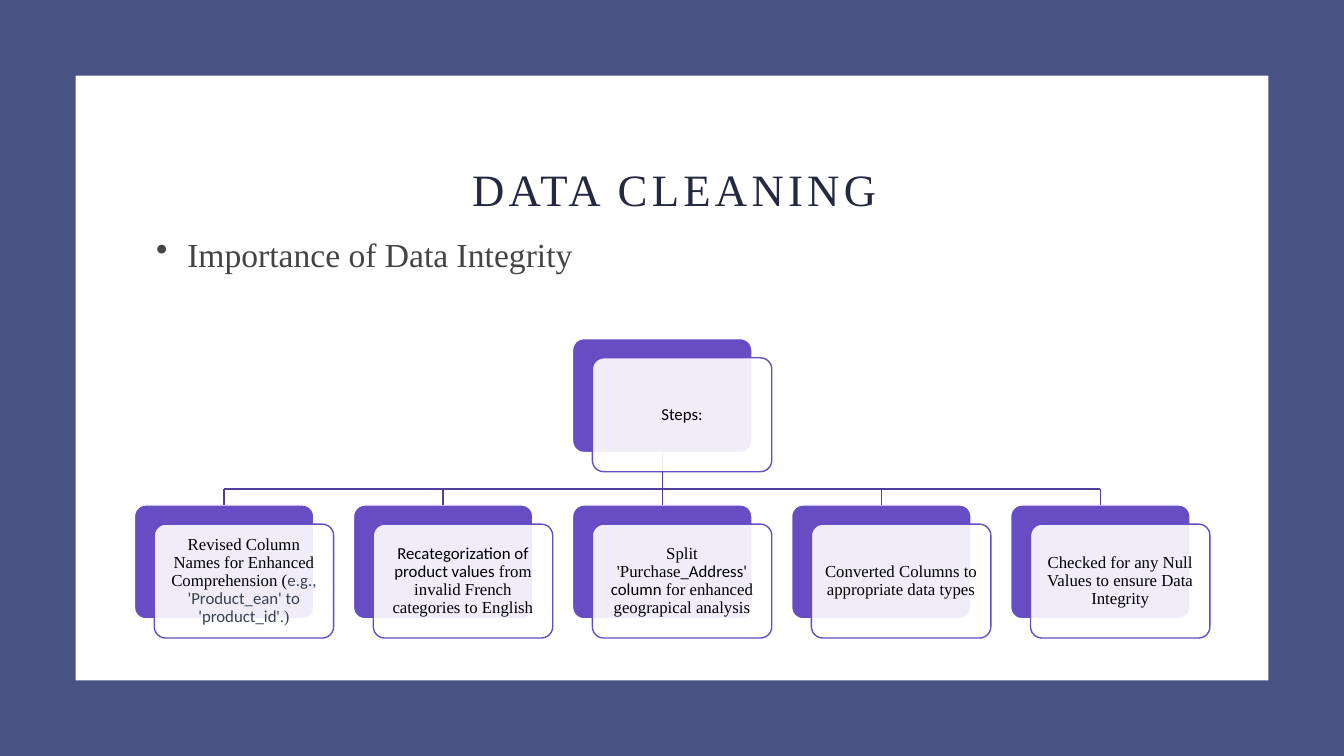
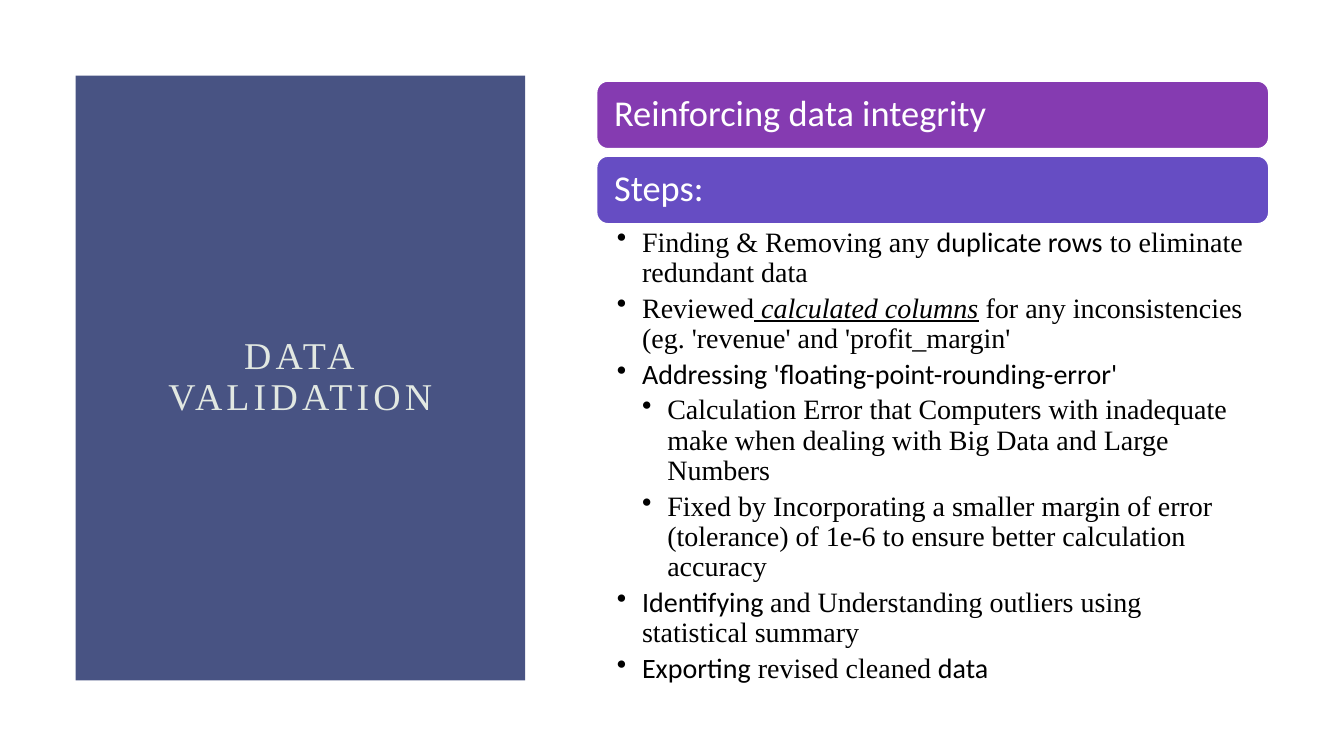
from lxml import etree
from pptx import Presentation
from pptx.dml.color import RGBColor
from pptx.enum.shapes import MSO_CONNECTOR, MSO_SHAPE
from pptx.enum.text import MSO_ANCHOR, MSO_AUTO_SIZE, PP_ALIGN
from pptx.oxml.ns import qn
from pptx.util import Inches, Pt

RECT, ROUND = MSO_SHAPE.RECTANGLE, MSO_SHAPE.ROUNDED_RECTANGLE
LINE = MSO_CONNECTOR.STRAIGHT
TOP, MID, LOW = MSO_ANCHOR.TOP, MSO_ANCHOR.MIDDLE, MSO_ANCHOR.BOTTOM
LEFT, CENTER = PP_ALIGN.LEFT, PP_ALIGN.CENTER
FIXED = MSO_AUTO_SIZE.NONE

COLORS = {
    "white": "FFFFFF", "black": "000000", "navy": "485383", "ink": "242941",
    "pale": "E2E8E2", "violet": "664DC3", "plum": "853BB1",
    "wire": "523E9C", "gray": "444444", "slate": "374151",
}
SERIF, SANS = "Times New Roman", "Calibri"
WIDE, HIGH = Inches(13.333), Inches(7.5)
COLS, ROWS = 40, 30

# Runs in the second font, or with emphasis
ALT = {"font": SANS}
NOTE = {"font": SANS, "color": "slate"}
STRESS = {"italic": True, "underline": True}


def tint(name):
    return RGBColor.from_string(COLORS[name])


def write(frame, paras, size=12, font=SERIF, color="black", align=LEFT,
          anchor=MID, pad=(0.1, 0.05), lead=0.9, after=0, hang=0, track=0):
    """Fill a frame with (level, runs) pairs; a run is text or (text, changes)."""
    frame.word_wrap = True
    frame.auto_size = FIXED
    frame.vertical_anchor = anchor
    frame.margin_left = frame.margin_right = Inches(pad[0])
    frame.margin_top = frame.margin_bottom = Inches(pad[1])
    for i, (level, runs) in enumerate(paras):
        para = frame.add_paragraph() if i else frame.paragraphs[0]
        para.alignment, para.level = align, level
        para.line_spacing, para.space_after = lead, Pt(after)
        if hang:
            props = para._p.get_or_add_pPr()
            props.set("marL", str(Inches(hang * max(level, 1))))
            props.set("indent", str(-Inches(hang)))
            etree.SubElement(props, qn("a:buChar")).set("char", "•")
        for item in runs:
            text, change = (item, {}) if isinstance(item, str) else item
            look = {"font": font, "color": color, **change}
            run = para.add_run()
            run.text = text
            run.font.size, run.font.name = Pt(size), look["font"]
            run.font.color.rgb = tint(look["color"])
            run.font.italic = look.get("italic")
            run.font.underline = look.get("underline")
            if track:
                run.font._element.set("spc", str(track * 100))


class Deck:
    """Holds the file, the grid and the current slide."""

    def __init__(self):
        self.file = Presentation()
        self.file.slide_width, self.file.slide_height = WIDE, HIGH
        self.slide = None

    def spot(self, col, row):
        return round(WIDE * col / COLS), round(HIGH * row / ROWS)

    def area(self, col, row, cols, rows):
        return self.spot(col, row) + self.spot(cols, rows)

    def start(self):
        self.slide = self.file.slides.add_slide(self.file.slide_layouts[5])

    def title(self, text, box, **look):
        """Place the title in front of the panels drawn so far."""
        shape = self.slide.shapes.title
        shape.left, shape.top, shape.width, shape.height = self.area(*box)
        write(shape.text_frame, [(0, [text])], align=CENTER, track=3, **look)
        shape.element.getparent().append(shape.element)

    def box(self, box, fill, kind=RECT, edge=None, curve=None, alpha=None):
        shape = self.slide.shapes.add_shape(kind, *self.area(*box))
        shape.shadow.inherit = False
        shape.fill.solid()
        shape.fill.fore_color.rgb = tint(fill)
        if curve:
            shape.adjustments[0] = curve
        if alpha:
            hue = shape.fill._xPr.find(".//" + qn("a:srgbClr"))
            etree.SubElement(hue, qn("a:alpha")).set("val", str(alpha * 1000))
        if edge:
            shape.line.color.rgb = tint(edge)
            shape.line.width = Pt(1)
        else:
            shape.line.fill.background()
        return shape

    def text(self, box, paras, **look):
        shape = self.slide.shapes.add_textbox(*self.area(*box))
        write(shape.text_frame, paras, **look)

    def wire(self, start, end, above=None, below=None):
        """Draw a line, joined to the box above and the box below if given."""
        line = self.slide.shapes.add_connector(
            LINE, *self.spot(*start), *self.spot(*end))
        line.line.color.rgb = tint("wire")
        line.line.width = Pt(1)
        etree.SubElement(line.element.spPr, qn("a:effectLst"))
        if above:
            line.begin_connect(above, 2)
        if below:
            line.end_connect(below, 0)

    def tree(self, root, leaves):
        """Draw a root card above an even row of leaf cards."""
        wide, high, step, left = 5.34, 4.52, 6.52, 4
        high_row, low_row, bus = 13.44, 20.04, 19.4
        hub = (len(leaves) - 1) / 2
        spots = [(left + hub * step, high_row)]
        spots += [(left + i * step, low_row) for i in range(len(leaves))]
        backs = [self.box((*spot, wide, high), "violet", ROUND, "white", 0.1)
                 for spot in spots]
        mids = [col + wide / 2 for col, row in spots]
        self.wire((mids[1], bus), (mids[-1], bus))
        for i, mid in enumerate(mids[1:]):
            if i == hub:
                self.wire((mid, high_row + high), (mid, low_row),
                          backs[0], backs[i + 1])
            else:
                self.wire((mid, bus), (mid, low_row), below=backs[i + 1])
        for (col, row), runs in zip(spots, [root] + leaves):
            card = self.box((col + 0.59, row + 0.76, wide, high), "white",
                            ROUND, "violet", 0.1, 90)
            write(card.text_frame, [(0, runs)], align=CENTER, pad=(0.08, 0.08))

    def bar(self, row, text, fill):
        shape = self.box((17.76, row, 20, 2.68), fill, ROUND, "white")
        write(shape.text_frame, [(0, [text])], size=26, font=SANS,
              color="white", pad=(0.14, 0.1))


def clean(deck):
    deck.start()
    deck.box((0, 0, COLS, ROWS), "navy")
    deck.box((2.25, 3, 35.5, 24), "white")
    deck.title("DATA CLEANING", (4.5, 4.4, 31.14, 4.4), size=32, color="ink",
               anchor=LOW)
    deck.tree([("Steps:", ALT)], [
        ["Revised Column Names for Enhanced Comprehension (",
         ("e.g., 'Product_ean' to 'product_id", NOTE),
         ("'.)", {"color": "slate"})],
        [("Recategorization of product values", ALT),
         " from invalid French categories to English"],
        ["Split 'Purchase", ("_Address' column", ALT),
         " for enhanced geograpical analysis"],
        ["Converted Columns to appropriate data types"],
        ["Checked for any Null Values to ensure Data Integrity"],
    ])
    deck.text((4.35, 9.08, 32.04, 3.24), [(0, ["Importance of Data Integrity"])],
              size=24, color="gray", anchor=TOP, lead=1.0, hang=0.31)


def check(deck):
    deck.start()
    deck.box((2.25, 3, 13.38, 24), "navy")
    deck.title("DATA VALIDATION", (4.5, 6, 8.88, 18), size=27, color="pale")
    deck.bar(3.22, "Reinforcing data integrity", "plum")
    deck.bar(6.2, "Steps:", "violet")
    deck.text((17.76, 8.88, 20, 17.88), [
        (1, ["Finding & Removing any ", ("duplicate rows", ALT),
             " to eliminate redundant data"]),
        (1, ["Reviewed", (" calculated columns", STRESS),
             " for any inconsistencies (eg. 'revenue' and 'profit_margin'"]),
        (1, [("Addressing 'floating-point-rounding-error'", ALT)]),
        (2, ["Calculation Error that Computers with inadequate make when "
             "dealing with Big Data and Large Numbers"]),
        (2, ["Fixed by Incorporating a smaller margin of error (tolerance) "
             "of 1e-6 to ensure better calculation accuracy"]),
        (1, [("Identifying ", ALT),
             "and Understanding outliers using statistical summary"]),
        (1, [("Exporting", ALT), " revised cleaned", (" data", ALT)]),
    ], size=20, anchor=TOP, pad=(0.2, 0.04), after=4, hang=0.25)


def main():
    deck = Deck()
    clean(deck)
    check(deck)
    deck.file.save("out.pptx")


if __name__ == "__main__":
    main()
